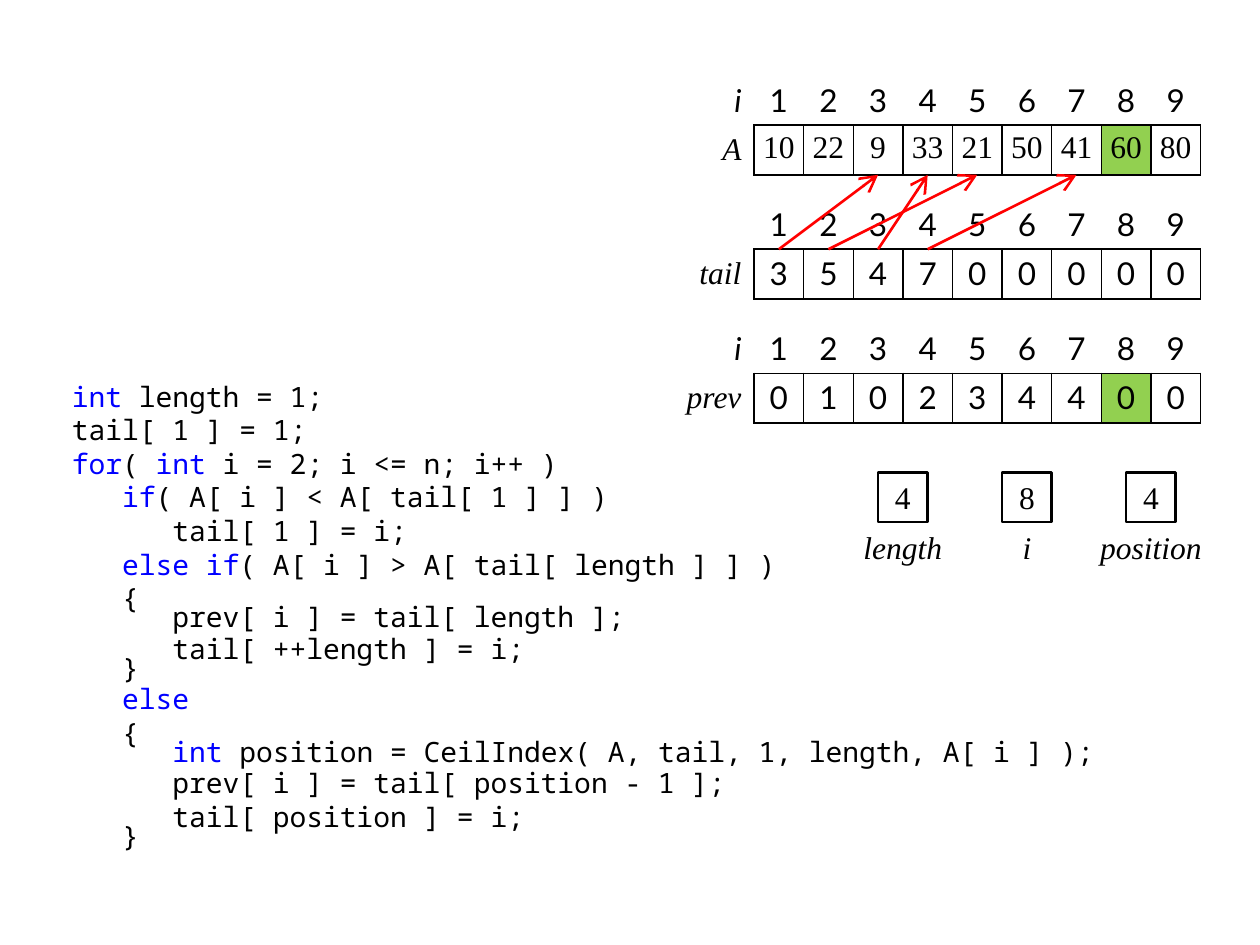
from lxml import etree
from pptx import Presentation
from pptx.dml.color import RGBColor
from pptx.enum import shapes, text
from pptx.oxml import ns
from pptx.util import Pt

COLORS = {"ink": "000000", "keyword": "0000FF", "current": "92D050",
          "paper": "FFFFFF", "link": "FF0000"}
SERIF, SANS, MONO = "Times New Roman", "Lato", "Noto Sans Mono"
NO_GRID = "{2D5ABB26-0587-4C30-8999-92F81FD0307C}"
CELL = 28.35
GRID_LEFT, GRID_TOP, STEP = 430.9, 43.2, 2.5 * CELL
COUNT, CURRENT = 9, 8
TAIL = [3, 5, 4, 7, 0, 0, 0, 0, 0]
LINE, HALF_LINE = 1.0, 0.5

CODE = [
    ("`int` length = 1;", LINE),
    ("tail[ 1 ] = 1;", LINE),
    ("`for`( `int` i = 2; i <= n; i++ )", LINE),
    ("   `if`( A[ i ] < A[ tail[ 1 ] ] )", LINE),
    ("      tail[ 1 ] = i;", LINE),
    ("   `else if`( A[ i ] > A[ tail[ length ] ] )", LINE),
    ("   {", LINE),
    ("      prev[ i ] = tail[ length ];", HALF_LINE),
    ("      tail[ ++length ] = i;", LINE),
    ("   }", HALF_LINE),
    ("   `else`", LINE),
    ("   {", LINE),
    ("      `int `position = CeilIndex( A, tail, 1, length, A[ i ] );", HALF_LINE),
    ("      prev[ i ] = tail[ position - 1 ];", LINE),
    ("      tail[ position ] = i;", LINE),
    ("   }", HALF_LINE),
]


def rgb(name):
    return RGBColor.from_string(COLORS[name])


def style(font, face, size=18, italic=False):
    font.name, font.size, font.italic = face, Pt(size), italic
    font.color.rgb = rgb("ink")


def add_code(slide, left, top, width, height):
    body = slide.placeholders[1]
    body.left, body.top, body.width, body.height = map(Pt, (left, top, width, height))
    frame = body.text_frame
    frame.auto_size = text.MSO_AUTO_SIZE.NONE
    frame.word_wrap = True
    for number, (line, spacing) in enumerate(CODE):
        paragraph = frame.add_paragraph() if number else frame.paragraphs[0]
        properties = paragraph._p.get_or_add_pPr()
        properties.set("marL", "0")
        properties.set("indent", "0")
        etree.SubElement(properties, ns.qn("a:buNone"))
        paragraph.space_before = Pt(0)
        paragraph.line_spacing = spacing
        style(paragraph.font, MONO, 16)
        for position, part in enumerate(line.split("`")):
            if part:
                run = paragraph.add_run()
                run.text = part
                if position % 2:
                    run.font.color.rgb = rgb("keyword")


def set_borders(cell, sides):
    properties = cell._tc.get_or_add_tcPr()
    for order, side in enumerate(sides):
        edge = etree.Element(ns.qn(f"a:ln{side}"), w=str(Pt(1)))
        fill = etree.SubElement(edge, ns.qn("a:solidFill"))
        etree.SubElement(fill, ns.qn("a:srgbClr"), val=COLORS["ink"])
        properties.insert(order, edge)


def fill_cell(cell, value, face, align, side_margin, italic=False, middle=True):
    cell.margin_left = cell.margin_right = Pt(side_margin)
    cell.margin_top = cell.margin_bottom = Pt(2.88)
    cell.vertical_anchor = text.MSO_ANCHOR.MIDDLE if middle else text.MSO_ANCHOR.TOP
    cell.fill.background()
    paragraph = cell.text_frame.paragraphs[0]
    paragraph.text = str(value)
    paragraph.alignment = align
    style(paragraph.font, face, italic=italic)


def add_array(slide, left, top, label_width, index_name, name, values,
              face=SANS, current=None):
    frame = slide.shapes.add_table(2, COUNT + 1, Pt(left - label_width), Pt(top),
                                   Pt(label_width + COUNT * CELL), Pt(2 * CELL))
    table = frame.table
    table.first_row = table.horz_banding = False
    table._tbl.tblPr.find(ns.qn("a:tableStyleId")).text = NO_GRID
    for row in table.rows:
        row.height = Pt(CELL)
    for number, column in enumerate(table.columns):
        column.width = Pt(CELL if number else label_width)

    right, center = text.PP_ALIGN.RIGHT, text.PP_ALIGN.CENTER
    fill_cell(table.cell(0, 0), index_name, SANS, right, 7.2, italic=True)
    fill_cell(table.cell(1, 0), name, SERIF, right, 7.2, italic=True)
    set_borders(table.cell(1, 0), "R")
    for index, value in enumerate(values, 1):
        fill_cell(table.cell(0, index), index, SANS, center, 0)
        entry = table.cell(1, index)
        fill_cell(entry, value, face, center, 0, middle=False)
        if index == current:
            entry.fill.solid()
            entry.fill.fore_color.rgb = rgb("current")
        set_borders(entry, "LRTB")


def write_centered(shape, value, italic=False):
    frame = shape.text_frame
    frame.word_wrap = False
    frame.margin_left = frame.margin_right = Pt(0)
    frame.vertical_anchor = text.MSO_ANCHOR.MIDDLE
    paragraph = frame.paragraphs[0]
    paragraph.text = value
    paragraph.alignment = text.PP_ALIGN.CENTER
    style(paragraph.font, SERIF, italic=italic)


def add_variable(slide, left, top, name, value, label_cells):
    label_left = left - (label_cells - 1) * CELL / 2
    label = slide.shapes.add_textbox(Pt(label_left), Pt(top + CELL),
                                     Pt(label_cells * CELL), Pt(CELL))
    write_centered(label, name, italic=True)
    box = slide.shapes.add_shape(shapes.MSO_SHAPE.RECTANGLE,
                                 Pt(left), Pt(top), Pt(CELL), Pt(CELL))
    box.shadow.inherit = False
    box.fill.solid()
    box.fill.fore_color.rgb = rgb("paper")
    box.line.color.rgb = rgb("ink")
    box.line.width = Pt(1.5)
    write_centered(box, value)


def add_links(slide, left, bottom, top):
    for index, target in enumerate(TAIL, 1):
        if not target:
            continue
        start, end = (left + (place - 0.5) * CELL for place in (index, target))
        link = slide.shapes.add_connector(shapes.MSO_CONNECTOR.STRAIGHT,
                                          Pt(start), Pt(bottom), Pt(end), Pt(top))
        link.line.color.rgb = rgb("link")
        link.line.width = Pt(1.5)
        etree.SubElement(link.line._get_or_add_ln(), ns.qn("a:tailEnd"),
                         type="arrow", w="lg", len="lg")
        etree.SubElement(link._element.spPr, ns.qn("a:effectLst"))


def main():
    deck = Presentation()
    deck.slide_width, deck.slide_height = Pt(720), Pt(540)
    slide = deck.slides.add_slide(deck.slide_layouts[1])
    title = slide.shapes.title._element
    title.getparent().remove(title)

    add_code(slide, 33.84, 213.12, 609.84, 283.68)
    add_array(slide, GRID_LEFT, GRID_TOP + STEP, 1.5 * CELL, "", "tail", TAIL)
    add_array(slide, GRID_LEFT, GRID_TOP, CELL, "i", "A",
              [10, 22, 9, 33, 21, 50, 41, 60, 80], SERIF, CURRENT)
    add_array(slide, GRID_LEFT, GRID_TOP + 2 * STEP, 2 * CELL, "i", "prev",
              [0, 1, 0, 2, 3, 4, 4, 0, 0], current=CURRENT)
    variables = [("length", "4", 2), ("i", "8", 1), ("position", "4", 3)]
    for number, variable in enumerate(variables, 1):
        add_variable(slide, GRID_LEFT + number * STEP, GRID_TOP + 8 * CELL, *variable)
    add_links(slide, GRID_LEFT, GRID_TOP + STEP + CELL, GRID_TOP + 2 * CELL)
    deck.save("out.pptx")


if __name__ == "__main__":
    main()
